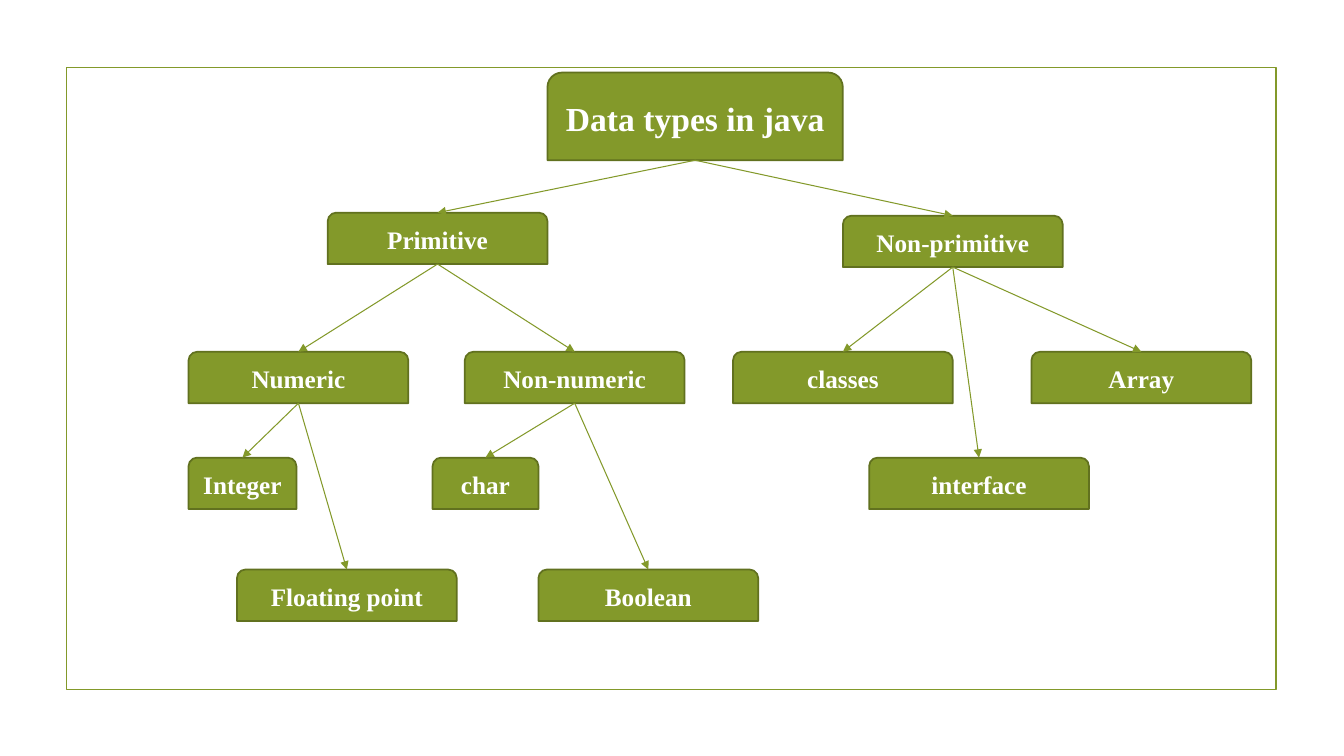
import dataclasses

import lxml.etree
import pptx
import pptx.dml.color
import pptx.enum.shapes
import pptx.enum.text
import pptx.oxml.ns
import pptx.shapes.autoshape
import pptx.shapes.base
import pptx.slide
import pptx.text.text
import pptx.util

TITLE_ONLY_LAYOUT = 5
# Connection sites of a rectangle with two rounded top corners
BOTTOM_SITE, TOP_SITE = 1, 3


@dataclasses.dataclass(frozen=True)
class Theme:
    font: str = "Times New Roman"
    green: pptx.dml.color.RGBColor = pptx.dml.color.RGBColor(0x83, 0x99, 0x2A)
    outline: pptx.dml.color.RGBColor = pptx.dml.color.RGBColor(0x61, 0x71, 0x1F)
    text: pptx.dml.color.RGBColor = pptx.dml.color.RGBColor(0xFF, 0xFF, 0xFF)
    title_size: float = 24
    node_size: float = 18
    border_width: float = 1.25
    arrow_width: float = 0.75


@dataclasses.dataclass(frozen=True)
class Area:
    """Place on a grid whose columns and rows are a tenth of an inch."""

    column: float
    row: float
    columns: float = 21.8
    rows: float = 5.1


@dataclasses.dataclass(frozen=True)
class Node:
    label: str
    parent: str
    area: Area


THEME = Theme()
FRAME = Area(6.6, 6.7, 120, 61.7)
ROOT = "Data types in java"
ROOT_AREA = Area(54.3, 7.2, 29.3, 8.7)
KIND_ROW, LEAF_ROW, LOWER_ROW = 34.9, 45.4, 56.5
NODES = (
    Node("Primitive", ROOT, Area(32.5, 21.1)),
    Node("Non-primitive", ROOT, Area(83.6, 21.4)),
    Node("Numeric", "Primitive", Area(18.7, KIND_ROW)),
    Node("Non-numeric", "Primitive", Area(46.1, KIND_ROW)),
    Node("classes", "Non-primitive", Area(72.7, KIND_ROW)),
    Node("Array", "Non-primitive", Area(102.3, KIND_ROW)),
    Node("interface", "Non-primitive", Area(86.2, LEAF_ROW)),
    Node("Integer", "Numeric", Area(18.7, LEAF_ROW, columns=10.7)),
    Node("char", "Non-numeric", Area(42.9, LEAF_ROW, columns=10.5)),
    Node("Floating point", "Numeric", Area(23.5, LOWER_ROW)),
    Node("Boolean", "Non-numeric", Area(53.4, LOWER_ROW)),
)


def grid(cells: float) -> pptx.util.Length:
    return pptx.util.Inches(cells / 10)


def place(shape: pptx.shapes.base.BaseShape, area: Area) -> None:
    shape.left, shape.top = grid(area.column), grid(area.row)
    shape.width, shape.height = grid(area.columns), grid(area.rows)


def add_frame(slide: pptx.slide.Slide) -> None:
    frame = slide.shapes.add_shape(
        pptx.enum.shapes.MSO_SHAPE.RECTANGLE, 0, 0, 0, 0
    )
    place(frame, FRAME)
    frame.shadow.inherit = False
    frame.fill.background()
    frame.line.color.rgb = THEME.green
    frame.line.width = pptx.util.Pt(THEME.border_width)


def add_box(slide: pptx.slide.Slide, area: Area) -> pptx.shapes.autoshape.Shape:
    box = slide.shapes.add_shape(
        pptx.enum.shapes.MSO_SHAPE.ROUND_2_SAME_RECTANGLE, 0, 0, 0, 0
    )
    place(box, area)
    box.shadow.inherit = False
    box.fill.solid()
    box.fill.fore_color.rgb = THEME.green
    box.line.color.rgb = THEME.outline
    box.line.width = pptx.util.Pt(THEME.border_width)
    return box


def write_label(frame: pptx.text.text.TextFrame, label: str, size: float) -> None:
    frame.word_wrap = True
    frame.auto_size = pptx.enum.text.MSO_AUTO_SIZE.NONE
    frame.vertical_anchor = pptx.enum.text.MSO_ANCHOR.MIDDLE
    paragraph = frame.paragraphs[0]
    paragraph.alignment = pptx.enum.text.PP_ALIGN.CENTER
    run = paragraph.add_run()
    run.text = label
    run.font.name = THEME.font
    run.font.size = pptx.util.Pt(size)
    run.font.bold = True
    run.font.color.rgb = THEME.text


def add_root(slide: pptx.slide.Slide) -> pptx.shapes.autoshape.Shape:
    """Draw the root box and lay the slide title over it."""
    box = add_box(slide, ROOT_AREA)
    title = slide.shapes.title
    place(title, ROOT_AREA)
    write_label(title.text_frame, ROOT, THEME.title_size)
    # Centre the title below the rounded corners
    title.text_frame.margin_top = grid(0.9)
    box.element.addnext(title.element)
    return box


def add_arrow(
    slide: pptx.slide.Slide,
    parent: pptx.shapes.autoshape.Shape,
    child: pptx.shapes.autoshape.Shape,
) -> None:
    """Join the parent's bottom middle to the child's top middle."""
    arrow = slide.shapes.add_connector(
        pptx.enum.shapes.MSO_CONNECTOR.STRAIGHT, 0, 0, 0, 0
    )
    arrow.begin_connect(parent, BOTTOM_SITE)
    arrow.end_connect(child, TOP_SITE)
    # Rounded boxes number their sites differently from plain rectangles
    arrow.begin_x = parent.left + parent.width // 2
    arrow.begin_y = parent.top + parent.height
    arrow.end_x = child.left + child.width // 2
    arrow.end_y = child.top
    arrow.line.color.rgb = THEME.green
    arrow.line.width = pptx.util.Pt(THEME.arrow_width)
    line = arrow.line._get_or_add_ln()
    lxml.etree.SubElement(line, pptx.oxml.ns.qn("a:tailEnd"), type="triangle")
    lxml.etree.SubElement(
        arrow.element.spPr, pptx.oxml.ns.qn("a:effectLst")
    )


def main() -> None:
    presentation = pptx.Presentation()
    presentation.slide_width = pptx.util.Inches(13.33)
    presentation.slide_height = pptx.util.Inches(7.5)
    layout = presentation.slide_layouts[TITLE_ONLY_LAYOUT]
    slide = presentation.slides.add_slide(layout)

    add_frame(slide)
    boxes = {ROOT: add_root(slide)}
    for node in NODES:
        box = add_box(slide, node.area)
        write_label(box.text_frame, node.label, THEME.node_size)
        boxes[node.label] = box
    for node in NODES:
        add_arrow(slide, boxes[node.parent], boxes[node.label])

    presentation.save("out.pptx")


if __name__ == "__main__":
    main()
